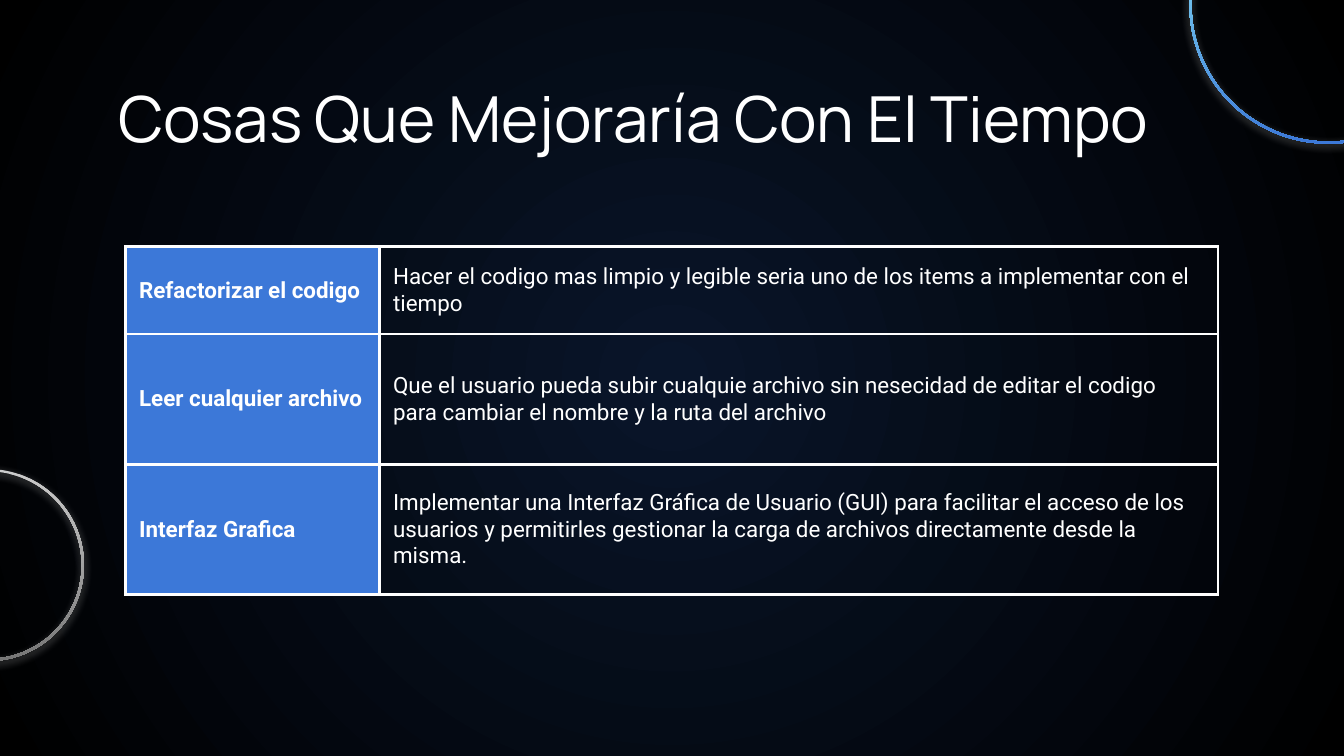
from typing import NamedTuple

from lxml.etree import SubElement
from pptx import Presentation
from pptx.dml.color import RGBColor
from pptx.dml.fill import FillFormat
from pptx.enum.shapes import MSO_SHAPE as Preset
from pptx.enum.text import MSO_ANCHOR as Anchor, PP_ALIGN as Align
from pptx.oxml import parse_xml
from pptx.oxml.ns import nsdecls, qn
from pptx.util import Pt

PX = 4572  # EMU per px, 200 px to the inch
INSET = 20
WHITE, BLUE = "FFFFFF", "3C78D8"


class Ring(NamedTuple):
    left: int
    top: int
    size: int
    thickness: float
    colours: tuple[str, str]


class Improvement(NamedTuple):
    name: str
    detail: str
    height: int


RINGS = [
    Ring(-161, 698, 286, 0.012, ("CCCCCC", "767676")),
    Ring(1770, -200, 414, 0.008, ("9CFFFF", BLUE)),
]
IMPROVEMENTS = [
    Improvement(
        "Refactorizar el codigo",
        "Hacer el codigo mas limpio y legible seria uno de los items a implementar con el tiempo",
        130,
    ),
    Improvement(
        "Leer cualquier archivo",
        "Que el usuario pueda subir cualquie archivo sin nesecidad de editar el codigo "
        "para cambiar el nombre y la ruta del archivo",
        194,
    ),
    Improvement(
        "Interfaz Grafica",
        "Implementar una Interfaz Gráfica de Usuario (GUI) para facilitar el acceso de los "
        "usuarios y permitirles gestionar la carga de archivos directamente desde la misma.",
        194,
    ),
]
COLUMN_WIDTHS = (378, 1248)
TITLE_FONT = {"name": "Manrope", "size": Pt(34), "bold": False}
NAME_FONT = {"name": "Roboto", "size": Pt(12), "bold": True}
DETAIL_FONT = NAME_FONT | {"bold": False}
MARGINS = {f"margin_{side}": INSET * PX for side in ("left", "top", "right", "bottom")}


def rgb(colour: str) -> RGBColor:
    return RGBColor.from_string(colour)


def apply(target, values: dict) -> None:
    for attribute, value in values.items():
        setattr(target, attribute, value)


def fill_gradient(fill: FillFormat, colours: tuple[str, str]) -> None:
    fill.gradient()
    fill.gradient_angle = 270
    for stop, colour in zip(fill.gradient_stops, colours):
        stop.color.rgb = rgb(colour)


def paint_background(slide) -> None:
    """Fill the slide with a gradient that spreads from its centre."""
    fill_gradient(slide.background.fill, ("09152A", "000000"))
    linear = slide.element.find(".//" + qn("a:lin"))
    linear.getparent().replace(linear, parse_xml(
        f'<a:path {nsdecls("a")} path="circle">'
        '<a:fillToRect l="50000" t="50000" r="50000" b="50000"/></a:path>'
    ))


def draw_ring(slide, ring: Ring) -> None:
    donut = slide.shapes.add_shape(
        Preset.DONUT, ring.left * PX, ring.top * PX, ring.size * PX, ring.size * PX
    )
    donut.adjustments[0] = ring.thickness
    fill_gradient(donut.fill, ring.colours)
    donut.line.fill.background()
    donut.shadow.inherit = False
    glow = SubElement(
        donut.element.spPr.find(qn("a:effectLst")), qn("a:outerShdw"),
        blurRad=str(Pt(4.5)), dist=str(Pt(1.5)), dir="5400000", algn="bl", rotWithShape="0",
    )
    tint = SubElement(glow, qn("a:srgbClr"), val=WHITE)
    SubElement(tint, qn("a:alpha"), val="50000")


def write(frame, text: str, font: dict):
    paragraph = frame.paragraphs[0]
    paragraph.alignment = Align.LEFT
    run = paragraph.add_run()
    run.text = text
    apply(run.font, font)
    run.font.color.rgb = rgb(WHITE)
    return paragraph


def draw_title(slide, text: str) -> None:
    title = slide.shapes.title
    apply(title, {"left": 156 * PX, "top": 98 * PX, "width": 1688 * PX, "height": 126 * PX})
    apply(title.text_frame, MARGINS | {"vertical_anchor": Anchor.TOP, "word_wrap": True})
    write(title.text_frame, text, TITLE_FONT)


def add_borders(cell) -> None:
    properties = cell._tc.get_or_add_tcPr()
    for side in ("lnL", "lnR", "lnT", "lnB"):
        line = SubElement(properties, qn(f"a:{side}"), w=str(Pt(1.5)))
        SubElement(SubElement(line, qn("a:solidFill")), qn("a:srgbClr"), val=WHITE)


def format_cell(cell, text: str, font: dict):
    apply(cell, MARGINS | {"vertical_anchor": Anchor.MIDDLE})
    add_borders(cell)
    return write(cell.text_frame, text, font)


def draw_improvements(slide, improvements: list[Improvement]) -> None:
    height = sum(item.height for item in improvements)
    table = slide.shapes.add_table(
        len(improvements), len(COLUMN_WIDTHS),
        187 * PX, 367 * PX, sum(COLUMN_WIDTHS) * PX, height * PX,
    ).table
    apply(table, {"first_row": False, "horz_banding": False})
    for column, width in zip(table.columns, COLUMN_WIDTHS):
        column.width = width * PX
    for row, item in zip(table.rows, improvements):
        row.height = item.height * PX
        name, detail = row.cells
        format_cell(name, item.name, NAME_FONT)
        name.fill.solid()
        name.fill.fore_color.rgb = rgb(BLUE)
        format_cell(detail, item.detail, DETAIL_FONT).space_after = Pt(16)
        detail.fill.background()


def main() -> None:
    deck = Presentation()
    apply(deck, {"slide_width": 2000 * PX, "slide_height": 1125 * PX})
    slide = deck.slides.add_slide(deck.slide_layouts.get_by_name("Title Only"))
    paint_background(slide)
    for ring in RINGS:
        draw_ring(slide, ring)
    draw_title(slide, "Cosas Que Mejoraría Con El Tiempo")
    draw_improvements(slide, IMPROVEMENTS)
    deck.save("out.pptx")


if __name__ == "__main__":
    main()
